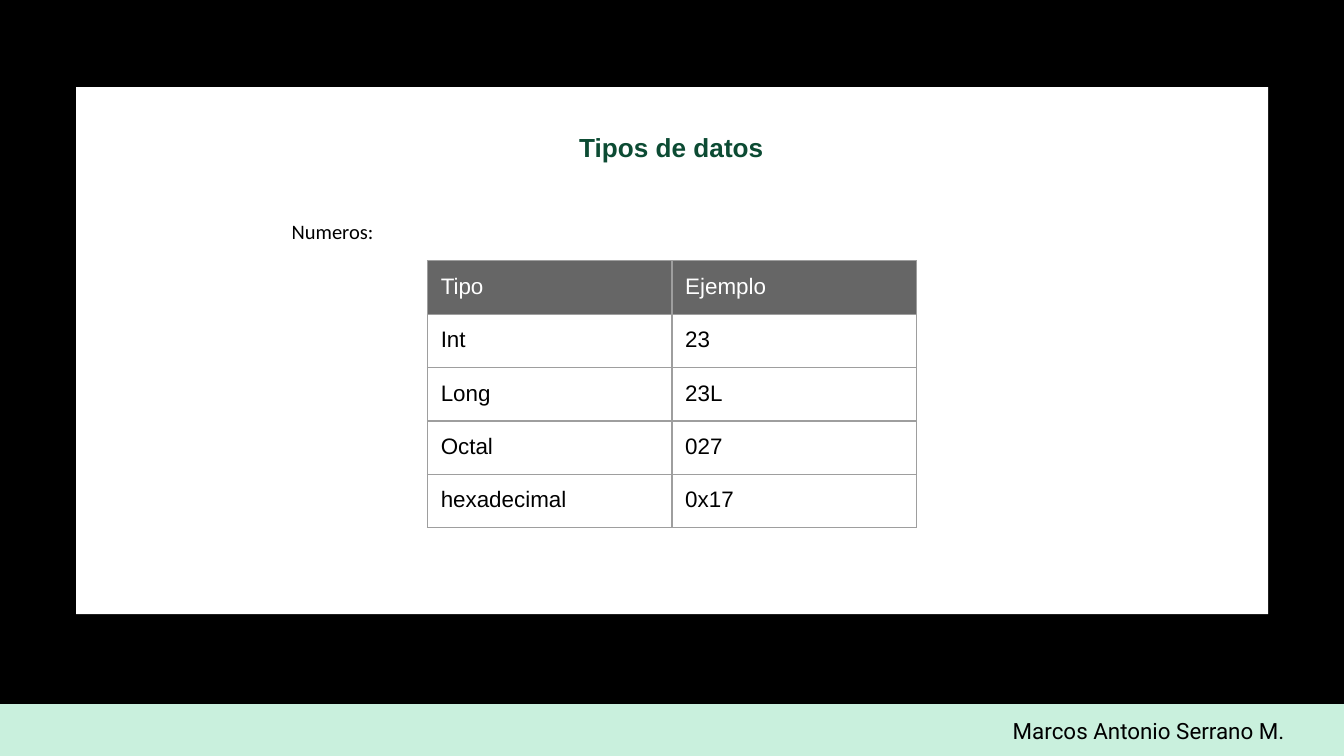
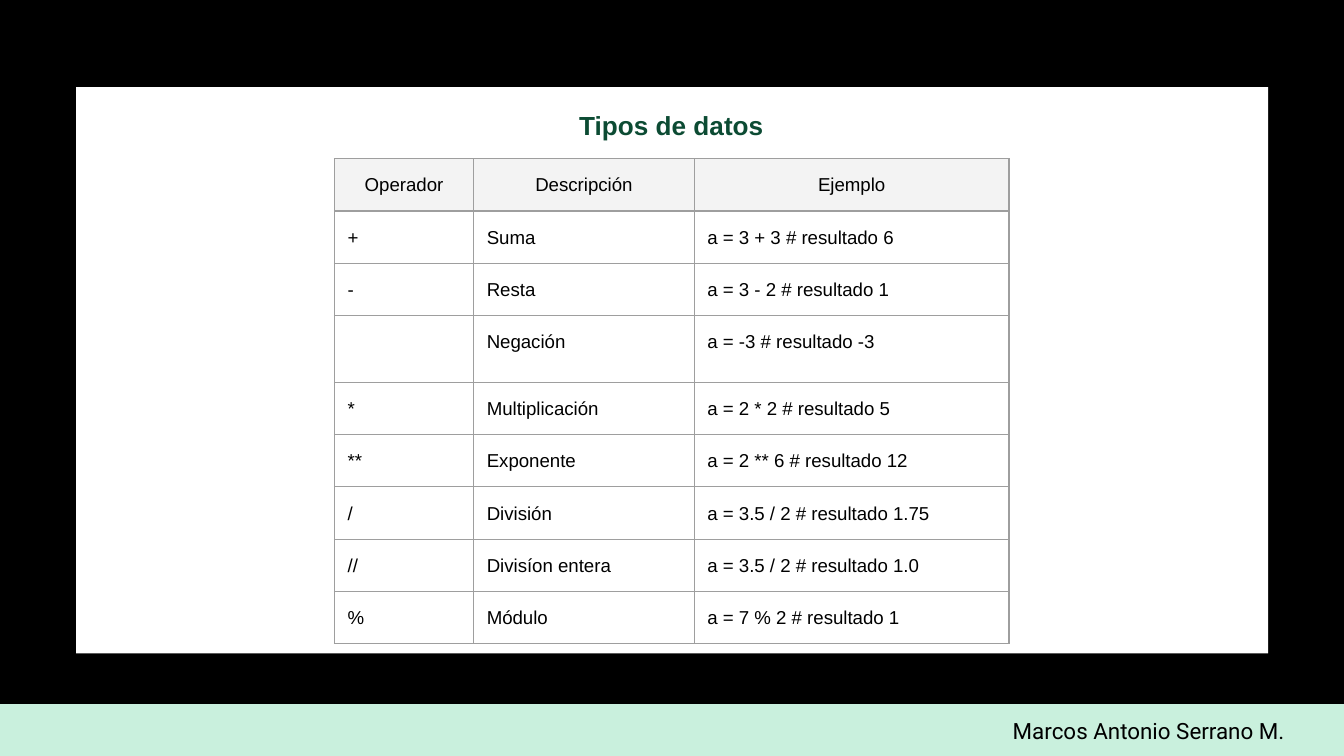
from dataclasses import dataclass

from pptx import Presentation
from pptx.dml.color import RGBColor
from pptx.enum.shapes import MSO_SHAPE
from pptx.enum.text import MSO_ANCHOR, PP_ALIGN
from pptx.oxml import parse_xml
from pptx.oxml.ns import nsdecls
from pptx.util import Cm, Pt


@dataclass(frozen=True)
class Theme:
    background: str = "000000"
    panel: str = "FFFFFF"
    band: str = "C9F0DD"
    title: str = "0C4B33"
    text: str = "000000"
    light_text: str = "FFFFFF"
    dark_header: str = "666666"
    light_header: str = "F3F3F3"
    border: str = "9E9E9E"
    font: str = "Arial"
    label_font: str = "Calibri"
    footer_font: str = "Roboto"
    title_size: int = 14
    footer_size: int = 12
    label_size: int = 11
    table_size: int = 12
    small_table_size: int = 10
    border_width: float = 0.75


T = Theme()
WIDTH, HEIGHT = 25.4, 14.29
BAND_TOP, BAND_HEIGHT = 13.31, 0.98
INSET = Cm(0.25)
MARGINS = ("margin_left", "margin_top", "margin_right", "margin_bottom")

NUMBER_ROWS = [
    ("Tipo", "Ejemplo"),
    ("Int", "23"),
    ("Long", "23L"),
    ("Octal", "027"),
    ("hexadecimal", "0x17"),
]
OPERATOR_ROWS = [
    ("Operador", "Descripción", "Ejemplo"),
    ("+", "Suma", "a = 3 + 3 # resultado 6"),
    ("-", "Resta", "a = 3 - 2 # resultado 1"),
    ("", "Negación", "a = -3 # resultado -3"),
    ("*", "Multiplicación", "a = 2 * 2 # resultado 5"),
    ("**", "Exponente", "a = 2 ** 6 # resultado 12"),
    ("/", "División", "a = 3.5 / 2 # resultado 1.75"),
    ("//", "Divisíon entera", "a = 3.5 / 2 # resultado 1.0"),
    ("%", "Módulo", "a = 7 % 2 # resultado 1"),
]


def set_attrs(obj, values):
    for name, value in values.items():
        setattr(obj, name, value)


def write(tf, text, size, font=T.font, color=T.text, bold=False,
          align=PP_ALIGN.LEFT, spacing=1.0):
    p = tf.paragraphs[0]
    set_attrs(p, {"alignment": align, "line_spacing": spacing})
    r = p.add_run()
    r.text = text
    set_attrs(r.font, {"name": font, "size": Pt(size), "bold": bold})
    r.font.color.rgb = RGBColor.from_string(color)


def add_rect(s, left, top, width, height, color):
    sp = s.shapes.add_shape(MSO_SHAPE.RECTANGLE, Cm(left), Cm(top), Cm(width), Cm(height))
    sp.shadow.inherit = False
    sp.fill.solid()
    sp.fill.fore_color.rgb = RGBColor.from_string(color)
    sp.line.fill.background()


def add_text(s, left, top, width, height, text, **style):
    tf = s.shapes.add_textbox(Cm(left), Cm(top), Cm(width), Cm(height)).text_frame
    set_attrs(tf, {"word_wrap": True, "vertical_anchor": MSO_ANCHOR.TOP,
                   **dict.fromkeys(MARGINS, INSET)})
    write(tf, text, **style)


def add_borders(cell):
    tcPr = cell._tc.get_or_add_tcPr()
    for side in ("lnL", "lnR", "lnT", "lnB"):
        tcPr.append(parse_xml(
            f'<a:{side} {nsdecls("a")} w="{Pt(T.border_width)}"><a:solidFill>'
            f'<a:srgbClr val="{T.border}"/></a:solidFill></a:{side}>'))


def add_table(s, left, top, col_widths, row_heights, rows, header_fill, header_style, **style):
    """Add a bordered table; header_style overrides style in the first row."""
    frame = s.shapes.add_table(len(rows), len(col_widths), Cm(left), Cm(top),
                               Cm(sum(col_widths)), Cm(sum(row_heights)))
    table = frame.table
    set_attrs(table, {"first_row": False, "horz_banding": False})
    for column, width in zip(table.columns, col_widths):
        column.width = Cm(width)
    for i, (row, height, texts) in enumerate(zip(table.rows, row_heights, rows)):
        row.height = Cm(height)
        for cell, text in zip(row.cells, texts):
            set_attrs(cell, dict.fromkeys(MARGINS, INSET))
            add_borders(cell)
            if i == 0:
                cell.fill.solid()
                cell.fill.fore_color.rgb = RGBColor.from_string(header_fill)
            else:
                cell.fill.background()
            if text:
                write(cell.text_frame, text, **(style | header_style if i == 0 else style))


def add_base_slide(prs, title, title_top, panel_height):
    """Add a slide with the footer band, the white panel and the title."""
    s = prs.slides.add_slide(prs.slide_layouts[6])
    s.background.fill.solid()
    s.background.fill.fore_color.rgb = RGBColor.from_string(T.background)
    add_rect(s, 0, BAND_TOP, WIDTH, BAND_HEIGHT, T.band)
    add_text(s, 16.94, BAND_TOP, 7.59, BAND_HEIGHT, "Marcos Antonio Serrano M.",
             size=T.footer_size, font=T.footer_font, align=PP_ALIGN.RIGHT)
    add_rect(s, 1.44, 1.65, 22.53, panel_height, T.panel)
    add_text(s, 7.14, title_top, 11.1, 0.97, title, size=T.title_size,
             color=T.title, bold=True, align=PP_ALIGN.CENTER)
    return s


def add_numbers_slide(prs):
    s = add_base_slide(prs, "Tipos de datos", 2.24, 9.96)
    add_text(s, 5.26, 3.66, 15.14, 1.12, "Numeros:", size=T.label_size,
             font=T.label_font, spacing=1.5)
    add_table(s, 8.08, 4.93, [4.62] * 2, [0.98] * len(NUMBER_ROWS), NUMBER_ROWS,
              T.dark_header, {"color": T.light_text}, size=T.table_size)


def add_operators_slide(prs):
    s = add_base_slide(prs, "Tipos de datos", 1.81, 10.7)
    heights = [0.96 if row[0] else 1.23 for row in OPERATOR_ROWS]
    add_table(s, 6.32, 3, [2.63, 4.17, 5.95], heights, OPERATOR_ROWS, T.light_header,
              {"align": PP_ALIGN.CENTER}, size=T.small_table_size, spacing=1.15)


def main():
    prs = Presentation()
    set_attrs(prs, {"slide_width": Cm(WIDTH), "slide_height": Cm(HEIGHT)})
    add_numbers_slide(prs)
    add_operators_slide(prs)
    prs.save("out.pptx")


if __name__ == "__main__":
    main()
